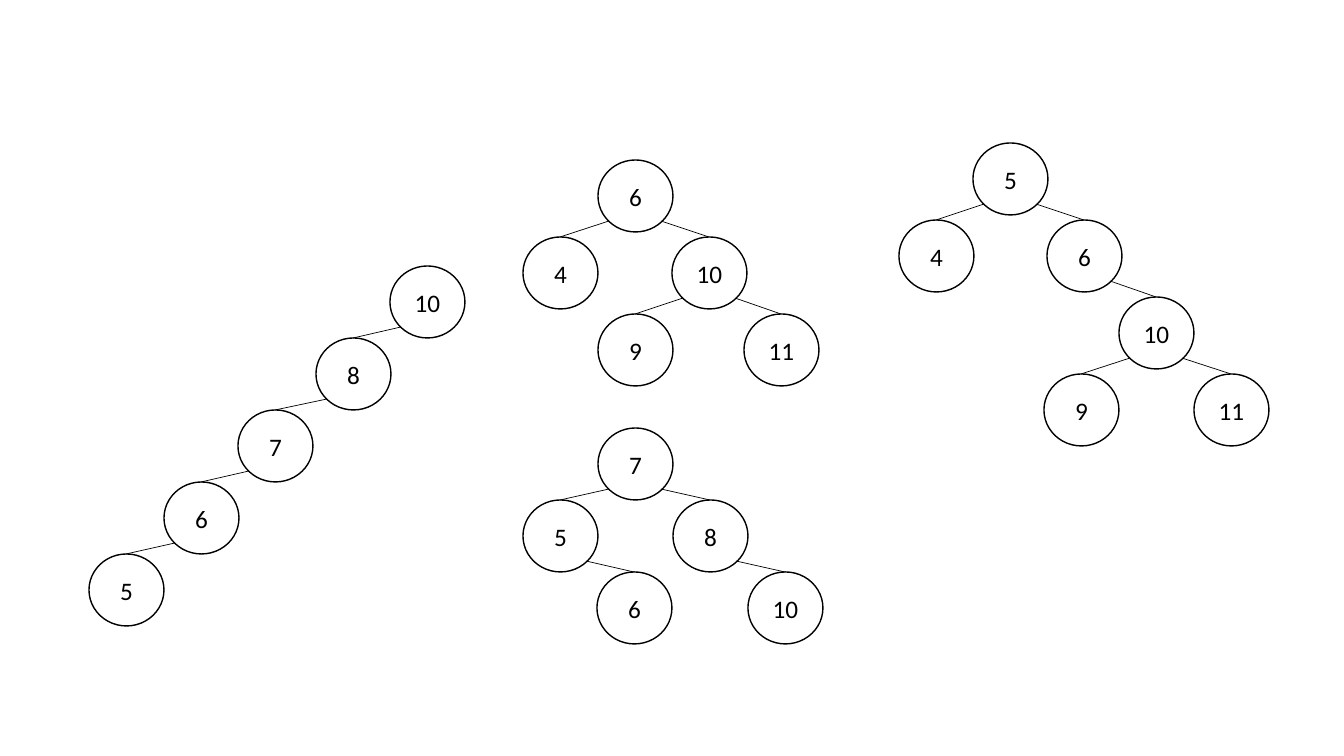
from pptx import Presentation
from pptx import util as u
from pptx.dml import color
from pptx.enum import shapes, text
from pptx.oxml import ns
from lxml import etree

PIXEL = u.Inches(1) / 100.8
COLORS = {"node": "FFFFFF", "ink": "000000"}
NODE_WIDTH, NODE_HEIGHT = 75, 72
EDGE_X, EDGE_Y = 26, 61


def px(value):
    return u.Emu(round(value * PIXEL))


def rgb(name):
    return color.RGBColor.from_string(COLORS[name])


trees = [
    (160, 77, [("6", 635, None), ("4", 560, "6"), ("10", 709, "6"),
               ("9", 635, "10"), ("11", 781, "10")]),
    (143, 77, [("5", 1010, None), ("4", 936, "5"), ("6", 1084, "5"),
               ("10", 1156, "6"), ("9", 1081, "10"), ("11", 1231, "10")]),
    (266, 72, [("10", 427, None), ("8", 353, "10"), ("7", 275, "8"),
               ("6", 201, "7"), ("5", 126, "6")]),
    (428, 72, [("7", 635, None), ("5", 560, "7"), ("8", 710, "7"),
               ("6", 634, "5"), ("10", 785, "8")]),
]

presentation = Presentation()
presentation.slide_width = px(1344)
presentation.slide_height = px(756)
slide = presentation.slides.add_slide(presentation.slide_layouts[6])

for root_top, level_gap, nodes in trees:
    group = slide.shapes.add_group_shape()
    places = {}
    for label, center, parent in nodes:
        top = places[parent][1] + level_gap if parent else root_top
        places[label] = center, top

        node = group.shapes.add_shape(
            shapes.MSO_SHAPE.OVAL, px(center - NODE_WIDTH // 2), px(top),
            px(NODE_WIDTH), px(NODE_HEIGHT))
        node.shadow.inherit = False
        node.fill.solid()
        node.fill.fore_color.rgb = rgb("node")
        node.line.color.rgb = rgb("ink")
        node.line.width = u.Pt(1)
        node.text_frame.vertical_anchor = text.MSO_ANCHOR.MIDDLE
        paragraph = node.text_frame.paragraphs[0]
        paragraph.alignment = text.PP_ALIGN.CENTER
        run = paragraph.add_run()
        run.text = label
        run.font.name = "Calibri"
        run.font.size = u.Pt(18)
        run.font.color.rgb = rgb("ink")

        if parent:
            parent_center, parent_top = places[parent]
            side = 1 if center > parent_center else -1
            edge = group.shapes.add_connector(
                shapes.MSO_CONNECTOR.STRAIGHT,
                px(parent_center + side * EDGE_X), px(parent_top + EDGE_Y),
                px(center), px(top))
            edge.line.color.rgb = rgb("ink")
            edge.line.width = u.Pt(0.5)
            etree.SubElement(edge._element.spPr, ns.qn("a:effectLst"))

presentation.save("out.pptx")
